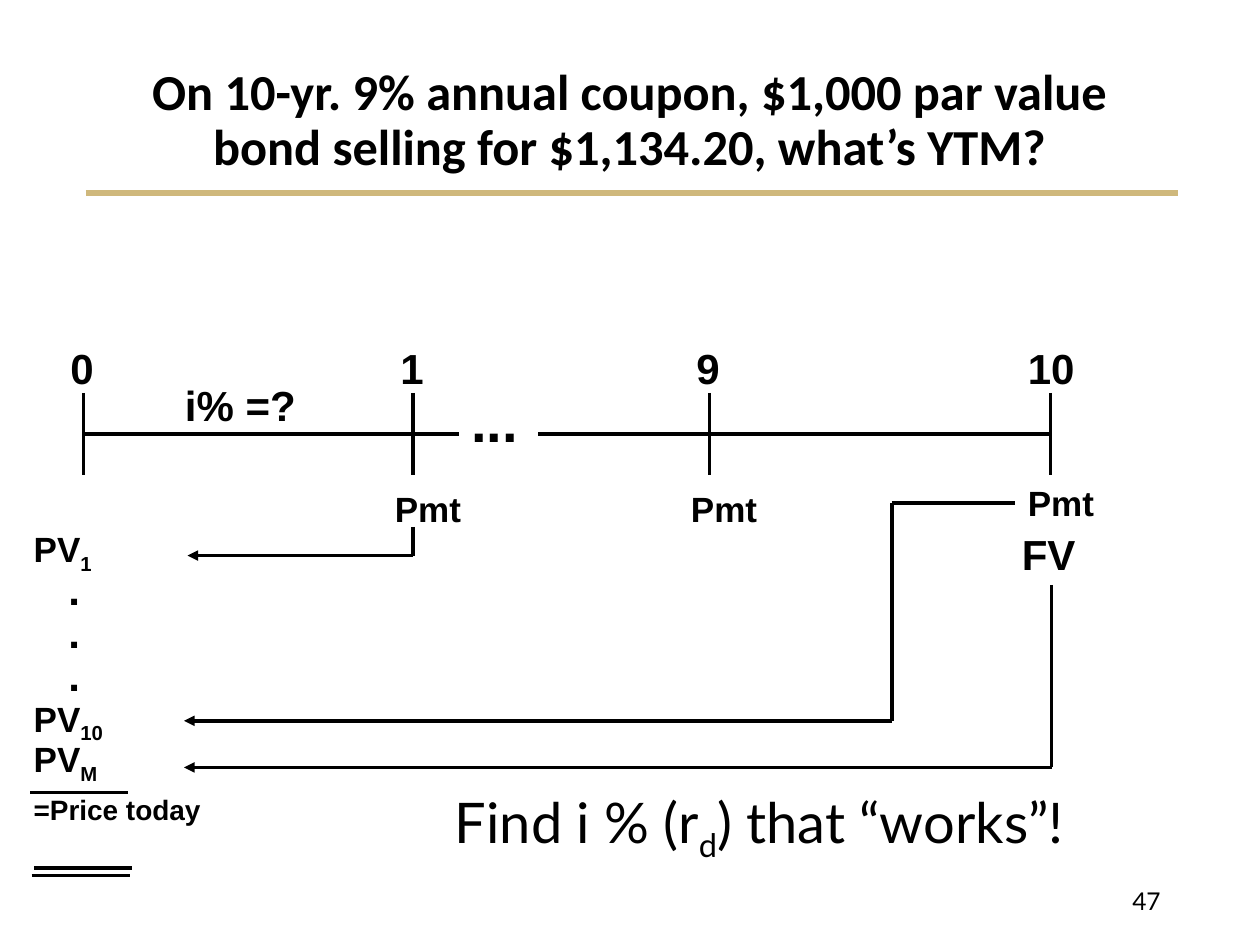
from lxml import etree
from pptx import Presentation
from pptx import util as u
from pptx.dml import color
from pptx.enum import shapes, text as t
from pptx.oxml import ns

BLACK = "000000"
GOLD = "CFB87C"


def rgb(value):
    """Return the colour for a hex string."""
    return color.RGBColor.from_string(value)


def write_line(paragraph, content, size=24, font="Arial", bold=True,
               align=t.PP_ALIGN.LEFT, spacing=1.0, indent=0):
    """Fill a paragraph; every second part between bars is a subscript."""
    paragraph.alignment = align
    paragraph.line_spacing = spacing
    if indent:
        paragraph._p.get_or_add_pPr().set("marL", str(u.Cm(indent)))
    for position, part in enumerate(content.split("|")):
        run = paragraph.add_run()
        run.text = part
        run.font.size = u.Pt(size)
        run.font.name = font
        run.font.bold = bold
        run.font.color.rgb = rgb(BLACK)
        if position % 2:
            run.font._element.set("baseline", "-25000")


def add_text(slide, content, left, top, width, height=1.27,
             anchor=t.MSO_ANCHOR.TOP, **style):
    """Add a wrapped text box placed in centimetres."""
    box = slide.shapes.add_textbox(*map(u.Cm, (left, top, width, height)))
    frame = box.text_frame
    frame.word_wrap = True
    frame.vertical_anchor = anchor
    write_line(frame.paragraphs[0], content, **style)
    return box


def add_line(slide, x1, y1, x2, y2, ink=BLACK, weight=2, arrow=False):
    """Add a straight line in centimetres, with an optional arrow at its end."""
    line = slide.shapes.add_connector(
        shapes.MSO_CONNECTOR.STRAIGHT, *map(u.Cm, (x1, y1, x2, y2)))
    line.line.color.rgb = rgb(ink)
    line.line.width = u.Pt(weight)
    if arrow:
        outline = line.line._get_or_add_ln()
        etree.SubElement(outline, ns.qn("a:tailEnd"), type="triangle")
    etree.SubElement(line._element.spPr, ns.qn("a:effectLst"))
    return line


def add_heading(slide):
    """Add the title, its rule and the page number."""
    add_line(slide, 1.73, 3.89, 23.75, 3.89, ink=GOLD, weight=3)
    add_text(slide, "On 10-yr. 9% annual coupon, $1,000 par value "
             "bond selling for $1,134.20, what’s YTM?",
             1.75, 1.02, 21.9, 2.87, anchor=t.MSO_ANCHOR.MIDDLE, size=28.8,
             font="Calibri", align=t.PP_ALIGN.CENTER, spacing=0.9)
    add_text(slide, "47", 17.93, 17.65, 5.72, 1.02,
             anchor=t.MSO_ANCHOR.MIDDLE, size=14, font="Lato", bold=False,
             align=t.PP_ALIGN.RIGHT)


def add_timeline(slide):
    """Add the time axis with its years and interest rate."""
    years = (("0", 1.68, 1.17, 1.07), ("1", 8.33, 7.82, 1.07),
             ("9", 14.3, 13.79, 1.07), ("10", 21.18, 20.47, 1.57))
    for year, tick, left, width in years:
        add_line(slide, tick, 7.92, tick, 9.58)
        add_text(slide, year, left, 6.78, width)
    for start, end in ((1.68, 9.25), (10.85, 21.18)):
        add_line(slide, start, 8.75, end, 8.75)
    add_text(slide, "i% =?", 3.48, 7.52, 3)
    add_text(slide, "...", 9.25, 7.67, 1.57, 1.6, size=32)


def add_cash_flows(slide):
    """Add the payments and the paths that discount them to today."""
    for left in (7.71, 13.68):
        add_text(slide, "Pmt", left, 9.7, 1.91, 1.12, size=20)
    last_payment = add_text(slide, "Pmt", 20.47, 9.58, 1.91, 1.12, size=20)
    face_value = add_text(slide, "FV", 20.35, 10.52, 1.7)

    add_line(slide, 8.33, 10.62, 8.33, 11.2)
    add_line(slide, 8.33, 11.2, 3.78, 11.2, arrow=True)

    add_line(slide, 17.98, 10.14, 20.47, 10.14).end_connect(last_payment, 1)
    add_line(slide, 17.98, 10.14, 17.98, 14.53)
    add_line(slide, 17.98, 14.53, 3.71, 14.53, arrow=True)

    add_line(slide, 21.2, 11.79, 21.2, 15.47).begin_connect(face_value, 2)
    add_line(slide, 21.2, 15.47, 3.71, 15.47, arrow=True)


def add_present_values(slide):
    """Add the column of present values, its total and the task."""
    column = add_text(slide, "PV|1", 0.43, 10.57, 1.98, 5.18,
                      size=20, spacing=0.85)
    rows = [(".", 24, 0.7)] * 3 + [("PV|10", 20, 0), ("PV|M", 20, 0)]
    for content, size, indent in rows:
        write_line(column.text_frame.add_paragraph(), content, size=size,
                   spacing=0.85, indent=indent)
    add_text(slide, "=Price today", 0.43, 15.85, 4.8, 0.94, size=16)
    for left, top in ((0.61, 15.98), (0.69, 17.5), (0.64, 17.65)):
        add_line(slide, left, top, left + 1.98, top)
    add_text(slide, "Find i % (r|d|) that “works”!", 8.92, 15.75, 14.81, 1.63,
             size=32, font="Lato", bold=False)


def main():
    """Build the bond yield slide and save it."""
    deck = Presentation()
    deck.slide_width, deck.slide_height = u.Cm(25.4), u.Cm(19.05)
    slide = deck.slides.add_slide(deck.slide_layouts[6])
    add_heading(slide)
    add_timeline(slide)
    add_cash_flows(slide)
    add_present_values(slide)
    deck.save("out.pptx")


if __name__ == "__main__":
    main()
